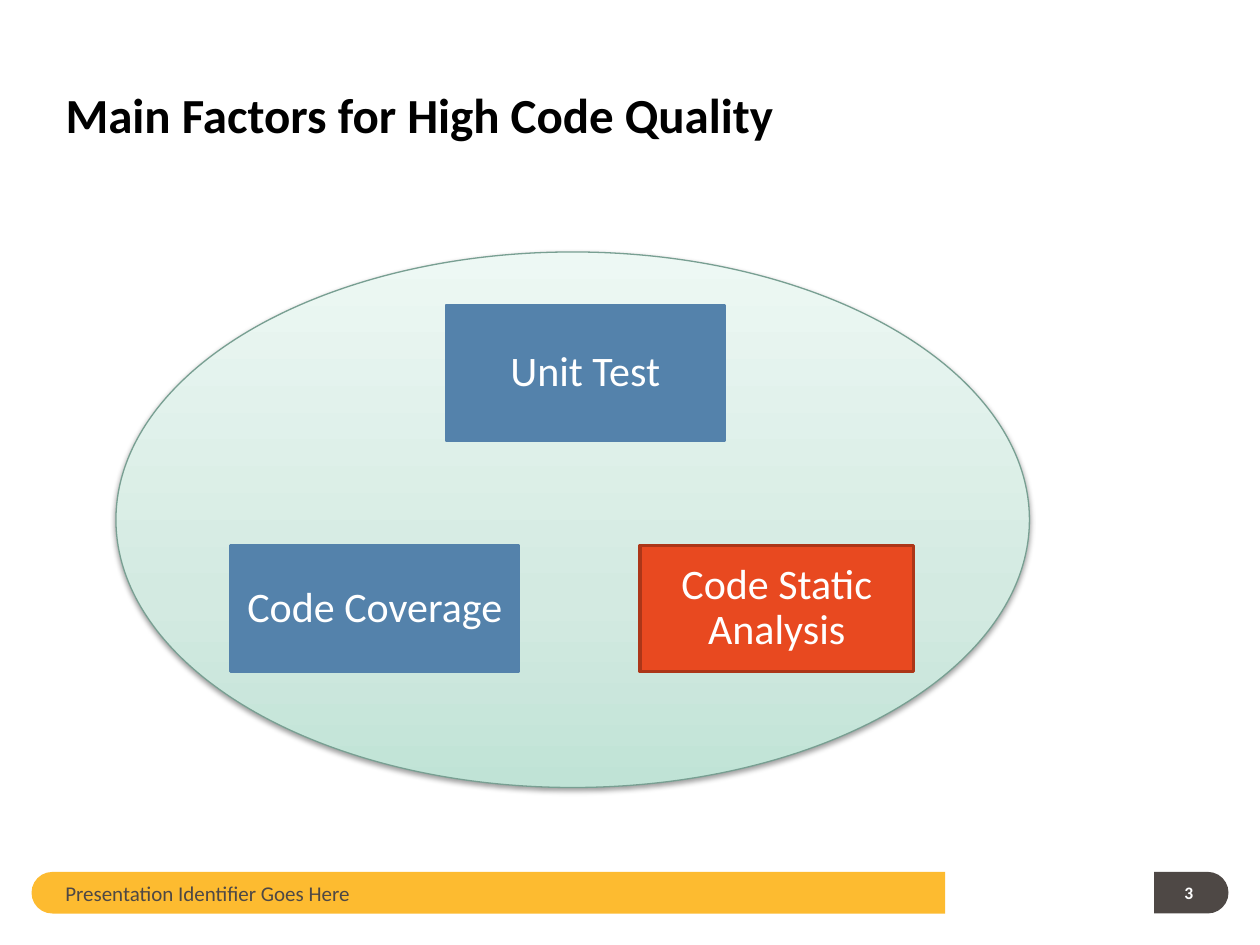
from pptx import Presentation
from pptx import oxml
from pptx.dml.color import RGBColor
from pptx.enum import shapes, text
from pptx.oxml import ns
from pptx.util import Inches, Pt

FONT = "Calibri"
COLORS = {
    "black": "000000", "white": "FFFFFF", "yellow": "FDBB30", "gray": "4E4845",
    "blue": "5482AB", "red": "E84920", "dark_red": "AC3618", "outline": "789F92",
}
OVAL_STOPS = [(0, "C0E3D6"), (35, "D3EAE1"), (100, "EDF8F4")]


def rgb(name):
    return RGBColor.from_string(COLORS[name])


def add_run(p, wording, size, color, bold=False):
    r = p.add_run()
    r.text = wording
    r.font.name, r.font.size, r.font.bold = FONT, Pt(size), bold
    r.font.color.rgb = rgb(color)


def add_shape(s, kind, box, fill=None, line=None, width=1):
    sp = s.shapes.add_shape(kind, *map(Inches, box))
    sp.shadow.inherit = False
    if fill:
        sp.fill.solid()
        sp.fill.fore_color.rgb = rgb(fill)
    if line:
        sp.line.color.rgb = rgb(line)
        sp.line.width = Pt(width)
    else:
        sp.line.fill.background()
    return sp


def add_title(s, box, wording):
    sp = s.shapes.title
    sp.left, sp.top, sp.width, sp.height = map(Inches, box)
    tf = sp.text_frame
    tf.vertical_anchor = text.MSO_ANCHOR.BOTTOM
    p = tf.paragraphs[0]
    p.alignment, p.line_spacing = text.PP_ALIGN.LEFT, 0.9
    add_run(p, wording, 28, "black", True)


def add_bar(s, box, rotation, fill):
    """A bar with one rounded end: an upright shape turned to cover the box."""
    x, y, w, h = box
    upright = (x + (w - h) / 2, y + (h - w) / 2, h, w)
    sp = add_shape(s, shapes.MSO_SHAPE.ROUND_2_SAME_RECTANGLE, upright, fill)
    sp.adjustments[0], sp.adjustments[1] = 0.5, 0
    sp.rotation = rotation


def add_label(s, box, wording, size, color, align, bold=False):
    tf = s.shapes.add_textbox(*map(Inches, box)).text_frame
    tf.word_wrap = True
    tf.vertical_anchor = text.MSO_ANCHOR.MIDDLE
    tf.margin_top = tf.margin_bottom = 0
    if align == text.PP_ALIGN.CENTER:
        tf.margin_left = tf.margin_right = 0
    p = tf.paragraphs[0]
    p.alignment = align
    add_run(p, wording, size, color, bold)


def add_footer(s, box):
    x, y, w, h = box
    number_w = 0.59
    add_bar(s, (x, y, 7.25, h), 270, "yellow")
    add_bar(s, (x + w - number_w, y, number_w, h), 90, "gray")
    add_label(s, (x + 0.17, y + 0.04, 4.58, 0.25),
              "Presentation Identifier Goes Here", 12, "gray", text.PP_ALIGN.LEFT)
    add_label(s, (x + w - 0.4, y + 0.08, 0.17, 0.17), "3", 10, "white",
              text.PP_ALIGN.CENTER, True)


def add_oval(s, box):
    sp = add_shape(s, shapes.MSO_SHAPE.OVAL, box, line="outline", width=0.75)
    sp.fill.gradient()
    sp.fill.gradient_angle = 90
    # Three gradient stops and a soft shadow need XML
    nsdecl = ns.nsdecls("a")
    stops = "".join(f'<a:gs pos="{pos * 1000}"><a:srgbClr val="{c}"/></a:gs>'
                    for pos, c in OVAL_STOPS)
    sp_pr = sp.element.spPr
    old = sp_pr.find(".//" + ns.qn("a:gsLst"))
    old.getparent().replace(old, oxml.parse_xml(f"<a:gsLst {nsdecl}>{stops}</a:gsLst>"))
    sp_pr.find(ns.qn("a:effectLst")).append(oxml.parse_xml(
        f'<a:outerShdw {nsdecl} blurRad="{Pt(3.1)}" dist="{Pt(1.6)}" dir="5400000" '
        'rotWithShape="0"><a:srgbClr val="000000"><a:alpha val="38000"/></a:srgbClr>'
        '</a:outerShdw>'))


def add_factor(s, box, wording, fill, line, width):
    sp = add_shape(s, shapes.MSO_SHAPE.RECTANGLE, box, fill, line, width)
    tf = sp.text_frame
    tf.word_wrap = True
    tf.vertical_anchor = text.MSO_ANCHOR.MIDDLE
    p = tf.paragraphs[0]
    p.alignment, p.line_spacing = text.PP_ALIGN.CENTER, 0.9
    add_run(p, wording, 24, "white")


def add_factors(s, box):
    x, y, w, h = box
    add_oval(s, box)
    lower = y + 2.33
    add_factor(s, (x + 2.62, y + 0.42, 2.21, 1.08), "Unit Test", "blue", "blue", 1.5)
    add_factor(s, (x + 0.91, lower, 2.29, 1), "Code Coverage", "blue", "blue", 1.5)
    add_factor(s, (x + 4.16, lower, 2.17, 1), "Code Static Analysis",
               "red", "dark_red", 2)


def main():
    prs = Presentation()
    prs.slide_width, prs.slide_height = Inches(10), Inches(7.5)
    s = prs.slides.add_slide(prs.slide_layouts[5])
    add_footer(s, (0.25, 6.92, 9.5, 0.33))
    add_title(s, (0.42, 0.27, 9.17, 0.92), "Main Factors for High Code Quality")
    add_factors(s, (0.92, 2, 7.25, 4.25))
    prs.save("out.pptx")


if __name__ == "__main__":
    main()
